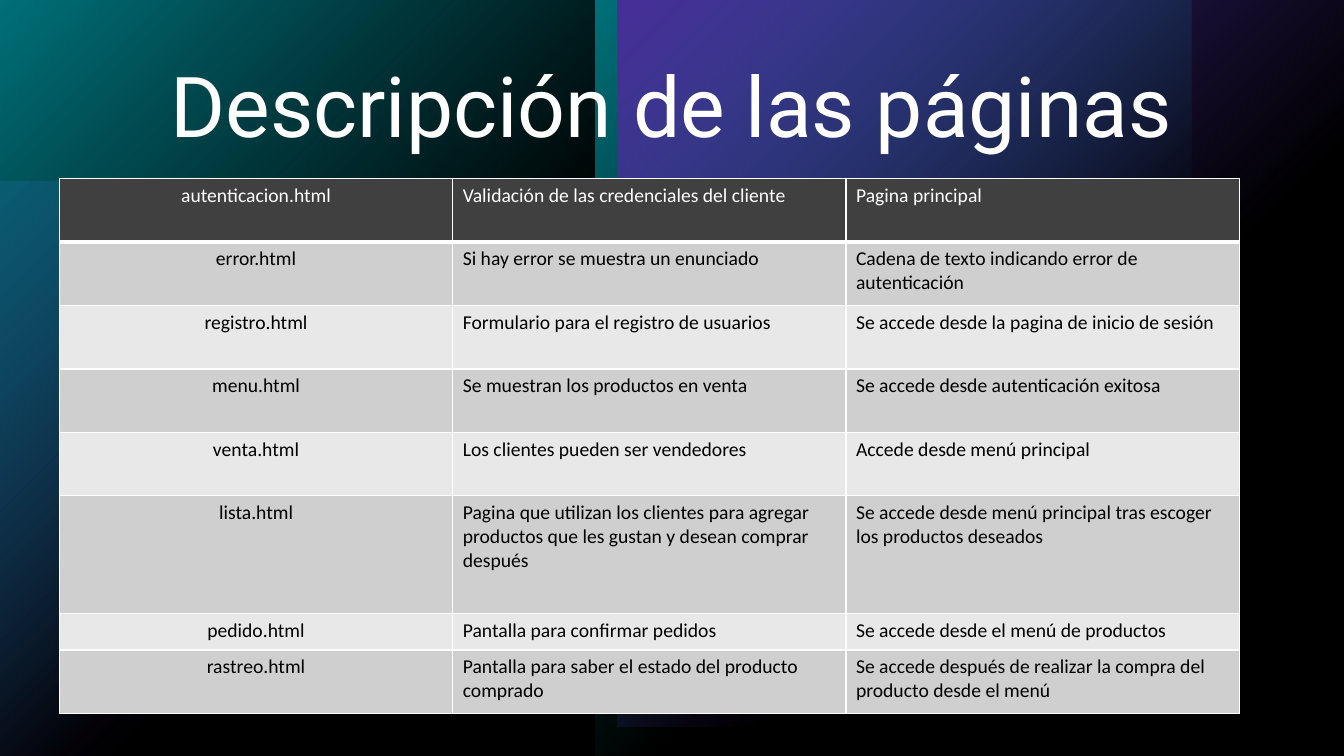
from pptx import Presentation
from pptx.dml.color import RGBColor
from pptx.enum.shapes import MSO_SHAPE as Kind
from pptx.enum.text import MSO_ANCHOR as Anchor, PP_ALIGN as Align
from pptx.oxml import parse_xml
from pptx.oxml.ns import nsdecls
from pptx.util import Inches, Pt

BLACK = RGBColor(0x00, 0x00, 0x00)
WHITE = RGBColor(0xFF, 0xFF, 0xFF)
HEAD = RGBColor(0x40, 0x40, 0x40)
DARK = RGBColor(0xCF, 0xCF, 0xCF)
LIGHT = RGBColor(0xE8, 0xE8, 0xE8)
TEAL = RGBColor(0x00, 0xBA, 0xC8)
PURPLE = RGBColor(0x79, 0x4D, 0xFF)

WIDE, HIGH = 13.33, 7.5

# Glows: box, colour, opacity at the bright corner
GLOWS = [
    ((0, 1.8, 5.71, 5.71), PURPLE, 60),
    ((0, 0, 5.91, HIGH), TEAL, 100),
    ((5.91, 0, 5.91, HIGH), TEAL, 100),
    ((6.13, 0, 7.21, 7.21), PURPLE, 100),
]

# Pages: row height, file, purpose, access
PAGES = [
    (0.63, "autenticacion.html", "Validación de las credenciales del cliente",
     "Pagina principal"),
    (0.63, "error.html", "Si hay error se muestra un enunciado",
     "Cadena de texto indicando error de autenticación"),
    (0.63, "registro.html", "Formulario para el registro de usuarios",
     "Se accede desde la pagina de inicio de sesión"),
    (0.63, "menu.html", "Se muestran los productos en venta",
     "Se accede desde autenticación exitosa"),
    (0.63, "venta.html", "Los clientes pueden ser vendedores",
     "Accede desde menú principal"),
    (1.17, "lista.html",
     "Pagina que utilizan los clientes para agregar productos "
     "que les gustan y desean comprar después",
     "Se accede desde menú principal tras escoger los productos deseados"),
    (0.36, "pedido.html", "Pantalla para confirmar pedidos",
     "Se accede desde el menú de productos"),
    (0.63, "rastreo.html",
     "Pantalla para saber el estado del producto comprado",
     "Se accede después de realizar la compra del producto desde el menú"),
]


def write(para, text, align, **font):
    para.alignment = align
    run = para.add_run()
    run.text = text
    run.font.color.rgb = font.pop("color")
    for name, value in font.items():
        setattr(run.font, name, value)


def add_box(slide, box):
    shape = slide.shapes.add_shape(Kind.RECTANGLE, *map(Inches, box))
    shape.shadow.inherit = False
    shape.line.fill.background()
    return shape


def fade(shape, color, alpha):
    """Radial fill that fades out from the top left corner."""
    stops = "".join(
        f'<a:gs pos="{pos * 1000}"><a:srgbClr val="{color}">'
        f'<a:alpha val="{opacity * 1000}"/></a:srgbClr></a:gs>'
        for pos, opacity in ((0, alpha), (60, 0)))
    grad = parse_xml(
        f'<a:gradFill {nsdecls("a")}><a:gsLst>{stops}</a:gsLst>'
        '<a:path path="circle"><a:fillToRect r="100000" b="100000"/></a:path>'
        '</a:gradFill>')
    shape._element.spPr.find("{*}prstGeom").addnext(grad)


def add_back(slide, box):
    fill = slide.background.fill
    fill.solid()
    fill.fore_color.rgb = BLACK
    left, top, *size = box
    for (x, y, wide, high), color, alpha in GLOWS:
        fade(add_box(slide, (left + x, top + y, wide, high)), color, alpha)
    # Dark veil over the glows
    veil = add_box(slide, box)
    veil.fill.solid()
    veil.fill.fore_color.rgb = BLACK
    tint = veil._element.spPr.find("{*}solidFill")[0]
    tint.append(parse_xml(f'<a:alpha {nsdecls("a")} val="40000"/>'))


def add_title(slide, box):
    frame = slide.shapes.add_textbox(*map(Inches, box)).text_frame
    frame.word_wrap = True
    frame.vertical_anchor = Anchor.TOP
    para = frame.paragraphs[0]
    para.line_spacing = 0.9
    write(para, "Descripción de las páginas", Align.CENTER,
          size=Pt(60), name="Roboto", color=WHITE)


def add_edges(cell, widths):
    props = cell._tc.get_or_add_tcPr()
    for side, width in widths.items():
        props.append(parse_xml(
            f'<a:ln{side} {nsdecls("a")} w="{Pt(width)}"><a:solidFill>'
            f'<a:srgbClr val="{WHITE}"/></a:solidFill></a:ln{side}>'))


def add_pages(slide, box):
    table = slide.shapes.add_table(len(PAGES), 3, *map(Inches, box)).table
    for col in table.columns:
        col.width = Inches(box[2] / 3)
    for i, (high, *texts) in enumerate(PAGES):
        table.rows[i].height = Inches(high)
        paint = HEAD if i == 0 else DARK if i % 2 else LIGHT
        for j, text in enumerate(texts):
            cell = table.cell(i, j)
            # A thick rule separates the header from the body
            add_edges(cell, {"L": 1, "R": 1, "T": 3 if i == 1 else 1,
                             "B": 3 if i == 0 else 1})
            cell.fill.solid()
            cell.fill.fore_color.rgb = paint
            write(cell.text_frame.paragraphs[0], text,
                  Align.LEFT if j else Align.CENTER, size=Pt(14),
                  name="Calibri", color=BLACK if i else WHITE)


def main():
    deck = Presentation()
    deck.slide_width, deck.slide_height = Inches(WIDE), Inches(HIGH)
    slide = deck.slides.add_slide(deck.slide_layouts[6])
    add_back(slide, (0, 0, WIDE, HIGH))
    add_title(slide, (0.59, 0.59, 12.14, 1.98))
    add_pages(slide, (0.59, 1.77, 11.7, 5.29))
    deck.save("out.pptx")


if __name__ == "__main__":
    main()
